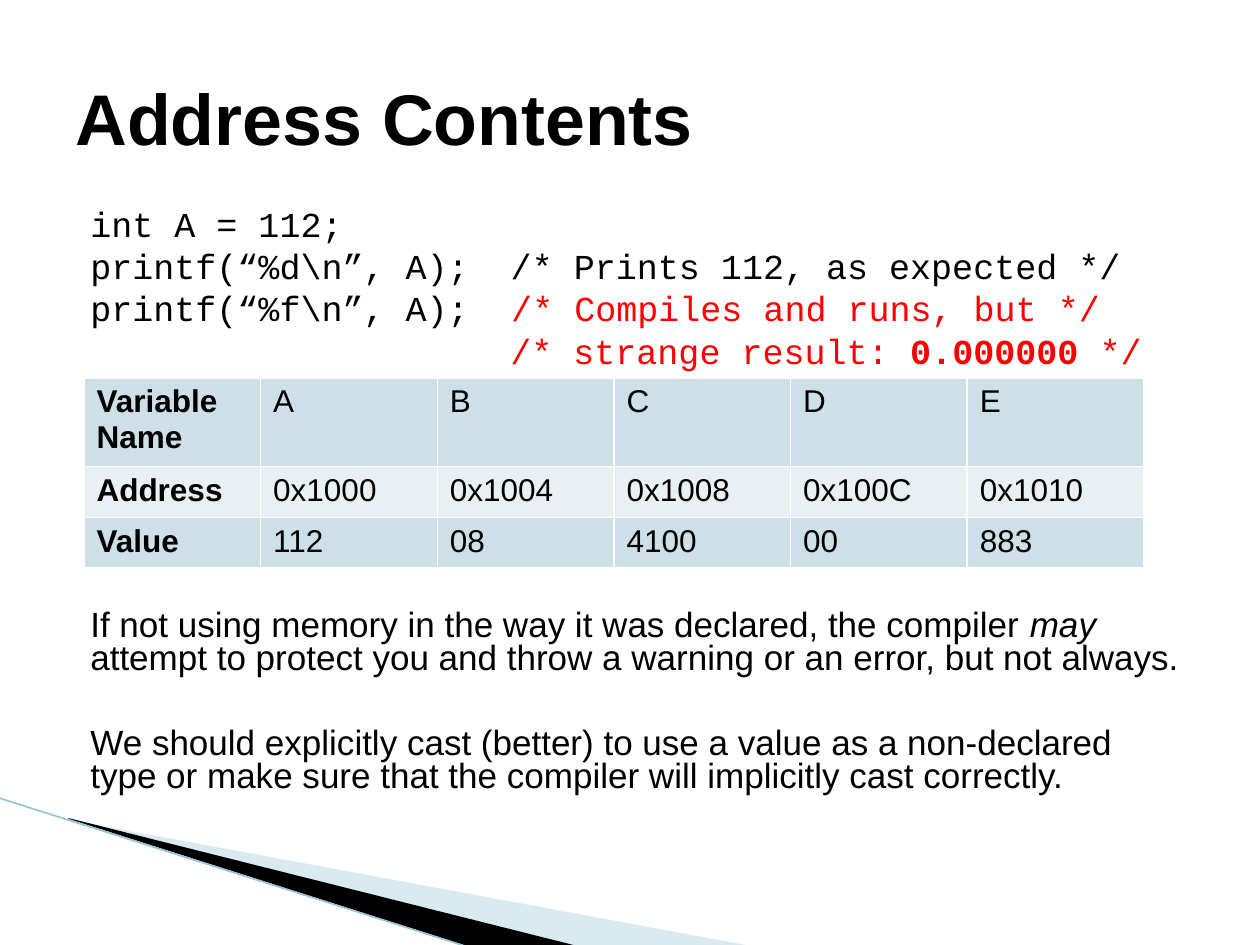
import lxml.etree
import pptx
import pptx.dml.color
import pptx.enum.shapes
import pptx.enum.text
import pptx.oxml.ns
import pptx.util

SCALE = 914400 / 126
qn = pptx.oxml.ns.qn


def px(size):
    """Turn pixels into EMU."""
    return pptx.util.Emu(round(size * SCALE))


def rgb(code):
    """Turn a hex string into a colour."""
    return pptx.dml.color.RGBColor.from_string(code)


def add_run(para, text, size=20, font="Arial", color="000000", bold=False, italic=False):
    """Add one formatted run to a paragraph."""
    run = para.add_run()
    run.text = text
    face = run.font
    face.size, face.name = pptx.util.Pt(size), font
    face.bold, face.italic = bold, italic
    face.color.rgb = rgb(color)


def add_box(slide, box, anchor=pptx.enum.text.MSO_ANCHOR.TOP):
    """Add a wrapping text box and return its frame."""
    frame = slide.shapes.add_textbox(*map(px, box)).text_frame
    frame.word_wrap = True
    frame.vertical_anchor = anchor
    return frame


def add_lines(slide, box, lines):
    """Fill a box with paragraphs given as indent, space before and runs."""
    frame = add_box(slide, box)
    for row, (indent, before, runs) in enumerate(lines):
        para = frame.add_paragraph() if row else frame.paragraphs[0]
        para.line_spacing = 0.8
        para.space_before = pptx.util.Pt(before)
        para._p.get_or_add_pPr().set("marL", str(px(indent)))
        for text, form in runs:
            add_run(para, text, **form)


def add_wedge(slide, box, points, color, alpha=100):
    """Draw a filled outline from points inside the box."""
    left, top = box
    spots = [(px(left + x), px(top + y)) for x, y in points]
    build = slide.shapes.build_freeform(*spots[0], scale=1.0)
    build.add_line_segments(spots[1:], close=True)
    shape = build.convert_to_shape()
    shape.shadow.inherit = False
    shape.fill.solid()
    shape.fill.fore_color.rgb = rgb(color)
    shape.line.fill.background()
    if alpha < 100:
        tint = shape._element.spPr.find(".//" + qn("a:srgbClr"))
        lxml.etree.SubElement(tint, qn("a:alpha"), val=str(alpha * 1000))


def add_swoosh(slide, box):
    """Draw the corner wedges and their edge line."""
    left, top = box
    add_wedge(slide, box, [(70, 22), (751, 148), (576, 148), (70, 21)], "A0CBDC", 40)
    add_wedge(slide, box, [(68, 20), (577, 148), (470, 149), (69, 21)], "000000")
    edge = slide.shapes.add_connector(
        pptx.enum.shapes.MSO_CONNECTOR.STRAIGHT,
        px(left - 1), px(top), px(left + 468), px(top + 149))
    edge.line.color.rgb = rgb("97C5D8")
    edge.line.width = pptx.util.Pt(0.95)
    lxml.etree.SubElement(edge._element.spPr, qn("a:effectLst"))


def add_title(slide, box):
    """Place the heading."""
    frame = add_box(slide, box, pptx.enum.text.MSO_ANCHOR.MIDDLE)
    add_run(frame.paragraphs[0], "Address Contents", size=41, bold=True)


def add_code(slide, box):
    """Place the code sample."""
    mono = {"font": "Courier New"}
    red = {"font": "Courier New", "color": "FF0000"}
    add_lines(slide, box, [
        (15, 5, [("int A = 112;", mono)]),
        (15, 5, [("printf(“%d\\n”, A);  /* Prints 112, as expected */", mono)]),
        (15, 5, [("printf(“%f\\n”, A);  ", mono), ("/* Compiles and runs, but */", red)]),
        (435, 5, [("/* strange result: ", red), ("0.000000", {**red, "bold": True}),
                  (" */", red)]),
    ])


def add_notes(slide, box):
    """Place the two remarks."""
    add_lines(slide, box, [
        (15, 5, [
            ("If not using memory in the way it was declared, the compiler ", {}),
            ("may", {"italic": True}),
            (" attempt to protect you and throw a warning or an error, but not always.", {})]),
        (15, 29, [
            ("We should explicitly cast (better) to use a value as a non-declared type "
             "or make sure that the compiler will implicitly cast correctly.", {})]),
    ])


def add_border(cell):
    """Give a cell thin white edges."""
    props = cell._tc.get_or_add_tcPr()
    for row, side in enumerate(("lnL", "lnR", "lnT", "lnB")):
        edge = lxml.etree.Element(qn("a:" + side), w="12700")
        fill = lxml.etree.SubElement(edge, qn("a:solidFill"))
        lxml.etree.SubElement(fill, qn("a:srgbClr"), val="FFFFFF")
        props.insert(row, edge)


def add_memory(slide, box):
    """Place the table of variables."""
    rows = [
        ["Variable Name", "A", "B", "C", "D", "E"],
        ["Address", "0x1000", "0x1004", "0x1008", "0x100C", "0x1010"],
        ["Value", "112", "08", "4100", "00", "883"],
    ]
    table = slide.shapes.add_table(3, 6, *map(px, box)).table
    for col in table.columns:
        col.width = px(box[2] / 6)
    for row, high in zip(table.rows, (83, 51, 50)):
        row.height = px(high)
    for r, texts in enumerate(rows):
        for c, text in enumerate(texts):
            cell = table.cell(r, c)
            cell.fill.solid()
            cell.fill.fore_color.rgb = rgb("E8F0F4" if r % 2 else "CDE0E8")
            add_border(cell)
            add_run(cell.text_frame.paragraphs[0], text, size=18, bold=c == 0)


def main():
    """Build and save the slide."""
    deck = pptx.Presentation()
    deck.slide_width, deck.slide_height = px(1260), px(945)
    slide = deck.slides.add_slide(deck.slide_layouts[6])
    add_swoosh(slide, (0, 798))
    add_code(slide, (63, 204, 1134, 174))
    add_notes(slide, (63, 604, 1134, 200))
    add_title(slide, (63, 38, 1134, 158))
    add_memory(slide, (84, 378, 1060, 184))
    deck.save("out.pptx")


main()
